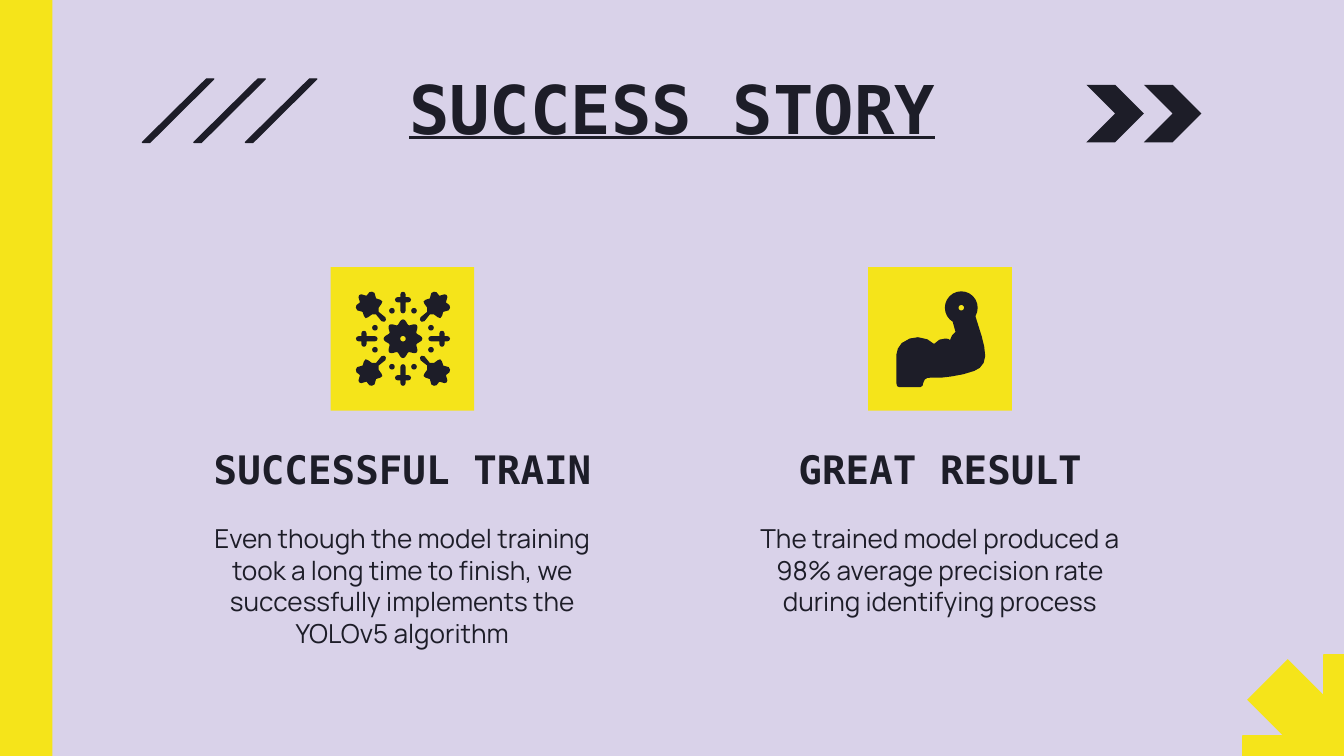
"""Build the "Success story" slide with two illustrated outcomes."""
from dataclasses import dataclass
from math import cos, radians, sin

from lxml.etree import SubElement
from pptx import Presentation
from pptx.dml.color import RGBColor
from pptx.enum.shapes import MSO_SHAPE
from pptx.enum.text import MSO_ANCHOR, MSO_AUTO_SIZE, PP_ALIGN
from pptx.oxml.ns import qn
from pptx.util import Pt


@dataclass(frozen=True)
class Theme:
    background: RGBColor = RGBColor(0xD9, 0xD2, 0xE9)
    accent: RGBColor = RGBColor(0xF5, 0xE4, 0x1A)
    ink: RGBColor = RGBColor(0x1D, 0x1D, 0x28)
    heading_font: str = "DejaVu Sans Mono"
    body_font: str = "Manrope"
    title_size: int = 36
    heading_size: int = 21
    body_size: int = 14


theme = Theme()
deck = Presentation()
deck.slide_width, deck.slide_height = Pt(720), Pt(405)
slide = deck.slides.add_slide(deck.slide_layouts.get_by_name("Comparison"))
slide.background.fill.solid()
slide.background.fill.fore_color.rgb = theme.background


def paint(shape, color, outlined=False):
    shape.shadow.inherit = False
    shape.fill.solid()
    shape.fill.fore_color.rgb = color
    if outlined:
        shape.line.color.rgb = color
        shape.line.width = Pt(0.75)
    else:
        shape.line.fill.background()


def draw_outline(*contours, outlined=False):
    first, *others = [[(Pt(x), Pt(y)) for x, y in contour] for contour in contours]
    builder = slide.shapes.build_freeform(*first[0], scale=1.0)
    builder.add_line_segments(first[1:])
    for contour in others:
        builder.move_to(*contour[0])
        builder.add_line_segments(contour[1:])
    paint(builder.convert_to_shape(), theme.ink, outlined)


for preset, adjustment, size in (
    (MSO_SHAPE.MATH_MULTIPLY, 0.195, 157.7),
    (MSO_SHAPE.MATH_PLUS, 0.144, 146.9),
):
    corner = slide.shapes.add_shape(
        preset, Pt(720 - size / 2), Pt(405 - size / 2), Pt(size), Pt(size))
    corner.adjustments[0] = adjustment
    paint(corner, theme.accent, outlined=preset == MSO_SHAPE.MATH_PLUS)

side_bar = slide.shapes.add_shape(MSO_SHAPE.RECTANGLE, 0, 0, Pt(28.1), Pt(405))
paint(side_bar, theme.accent)

left_column, right_column, column_width = 101.5, 389.5, 228.2
title_style = (theme.heading_font, theme.title_size, True, 1.0, MSO_ANCHOR.TOP)
heading_style = (theme.heading_font, theme.heading_size, True, 0.9, MSO_ANCHOR.BOTTOM)
body_style = (theme.body_font, theme.body_size, False, 1.0, MSO_ANCHOR.TOP)
texts = (
    (0, "SUCCESS STORY", (56.2, 28.8, 607.6, 58.3), title_style),
    (1, "SUCCESSFUL TRAIN", (left_column, 235.4, column_width, 28.8), heading_style),
    (2, "Even though the model training took a long time to finish, "
        "we successfully implements the YOLOv5 algorithm",
     (left_column, 272.9, column_width, 58.3), body_style),
    (3, "GREAT RESULT", (right_column, 235.4, column_width, 28.8), heading_style),
    (4, "The trained model produced a 98% average precision rate "
        "during identifying process",
     (right_column, 272.9, column_width, 58.3), body_style),
)
placeholders = {holder.placeholder_format.idx: holder for holder in slide.placeholders}
for index, wording, box, (font, size, bold, spacing, anchor) in texts:
    holder = placeholders[index]
    holder.left, holder.top, holder.width, holder.height = map(Pt, box)
    frame = holder.text_frame
    frame.text = wording
    frame.word_wrap = True
    frame.auto_size = MSO_AUTO_SIZE.NONE
    frame.vertical_anchor = anchor
    frame.margin_left = frame.margin_right = frame.margin_top = Pt(7.2)
    frame.margin_bottom = Pt(0 if index else 7.2)
    paragraph = frame.paragraphs[0]
    paragraph.alignment = PP_ALIGN.CENTER
    paragraph.line_spacing = spacing
    paragraph.space_before = Pt(0)
    properties = paragraph._p.get_or_add_pPr()
    properties.set("marL", "0")
    properties.set("indent", "0")
    SubElement(properties, qn("a:buNone"))
    run_font = paragraph.runs[0].font
    run_font.name, run_font.size, run_font.bold = font, Pt(size), bold
    run_font.underline = index == 0
    run_font.color.rgb = theme.ink

for column in (left_column, right_column):
    tile = slide.shapes.add_shape(
        MSO_SHAPE.RECTANGLE, Pt(column + (column_width - 77) / 2), Pt(143.1), Pt(77), Pt(77))
    paint(tile, theme.accent)

for slash in range(3):
    x = 76.3 + 27.6 * slash
    draw_outline([(x + 34.4, 42.3), (x, 76.3), (x + 4, 76.3), (x + 38.2, 42.3),
                  (x + 34.4, 42.3)], outlined=True)

for chevron in range(2):
    x, y, half = 582 + 30.8 * chevron, 45.4, 15.4
    draw_outline([(x + 2 * half, y + half), (x + half, y), (x, y), (x + half, y + half),
                  (x, y + 2 * half), (x + half, y + 2 * half), (x + 2 * half, y + half)])

fist_x, fist_y = 515, 164.9
arm = [
    (510.5, 172.8), (511.9, 177.8), (510.1, 179.6), (509, 182.2), (508, 181.6),
    (506.5, 181.4), (503.3, 182), (500.4, 184.3), (496.8, 181.8), (491.8, 180.7),
    (487.4, 181.4), (483.1, 183.8), (481, 186.8), (480.2, 190.1), (480.2, 205.2),
    (480.6, 206.9), (481.7, 207.4), (493.2, 207.4), (494.3, 206.6), (494.6, 205.2),
    (495.4, 203.4), (496.8, 202.5), (499, 202.3), (504.7, 202.3), (509.8, 201.7),
    (516.2, 200.5), (522, 198.7), (524.9, 197.1), (527, 194.4), (527.8, 190.8),
    (527.3, 185.8), (526, 180.4), (522.7, 169.9),
]
fist = [(fist_x + 8.8 * cos(radians(a)), fist_y + 8.8 * sin(radians(a)))
        for a in range(30, -241, -15)]
fist_hole = [(fist_x + 1.5 * cos(radians(a)), fist_y + 1.5 * sin(radians(a)))
             for a in range(0, 361, 20)]
draw_outline(arm + fist + arm[:1], fist_hole)

center_x, center_y = 215.9, 181.5
flower = []
for angle in range(0, 361, 5):
    radius = 9.1 + 1.3 * cos(radians(8 * angle))
    flower.append((center_x + radius * cos(radians(angle)),
                   center_y + radius * sin(radians(angle))))
flower_hole = [(center_x + 1.5 * cos(radians(a)), center_y + 1.5 * sin(radians(a)))
               for a in range(0, 361, 20)]
draw_outline(flower, flower_hole)

half_burst = [
    (23.4, 23.4), (22.3, 23.8), (19.5, 23), (18, 24.9), (16.6, 25.2), (15.2, 24.5),
    (14.4, 21.6), (12.2, 20.9), (11, 20), (11.5, 18.7), (13, 16.6), (13, 14.4),
    (9.4, 11.5), (9.1, 10.1), (9.5, 9.5),
]
burst = half_burst + [(y, x) for x, y in reversed(half_burst)]
for side_x in (-1, 1):
    for side_y in (-1, 1):
        draw_outline([(center_x + side_x * x, center_y + side_y * y) for x, y in burst])
        for dot_x, dot_y in ((15, 5.9), (5.9, 15)):
            dot = slide.shapes.add_shape(
                MSO_SHAPE.OVAL, Pt(center_x + side_x * dot_x - 1.5),
                Pt(center_y + side_y * dot_y - 1.5), Pt(3), Pt(3))
            paint(dot, theme.ink)

half_cross = [
    (0, 25.2), (1, 24.8), (1.4, 23.8), (1.4, 22.3), (2.9, 22.3), (3.9, 21.9),
    (4.3, 20.9), (3.9, 19.9), (2.9, 19.5), (1.4, 19.5), (1.4, 15), (1, 14), (0, 13.6),
]
cross = half_cross + [(-across, along) for across, along in reversed(half_cross)]
for out_x, out_y in ((0, -1), (1, 0), (0, 1), (-1, 0)):
    draw_outline([(center_x + along * out_x - across * out_y,
                   center_y + along * out_y + across * out_x) for across, along in cross])

deck.save("out.pptx")
